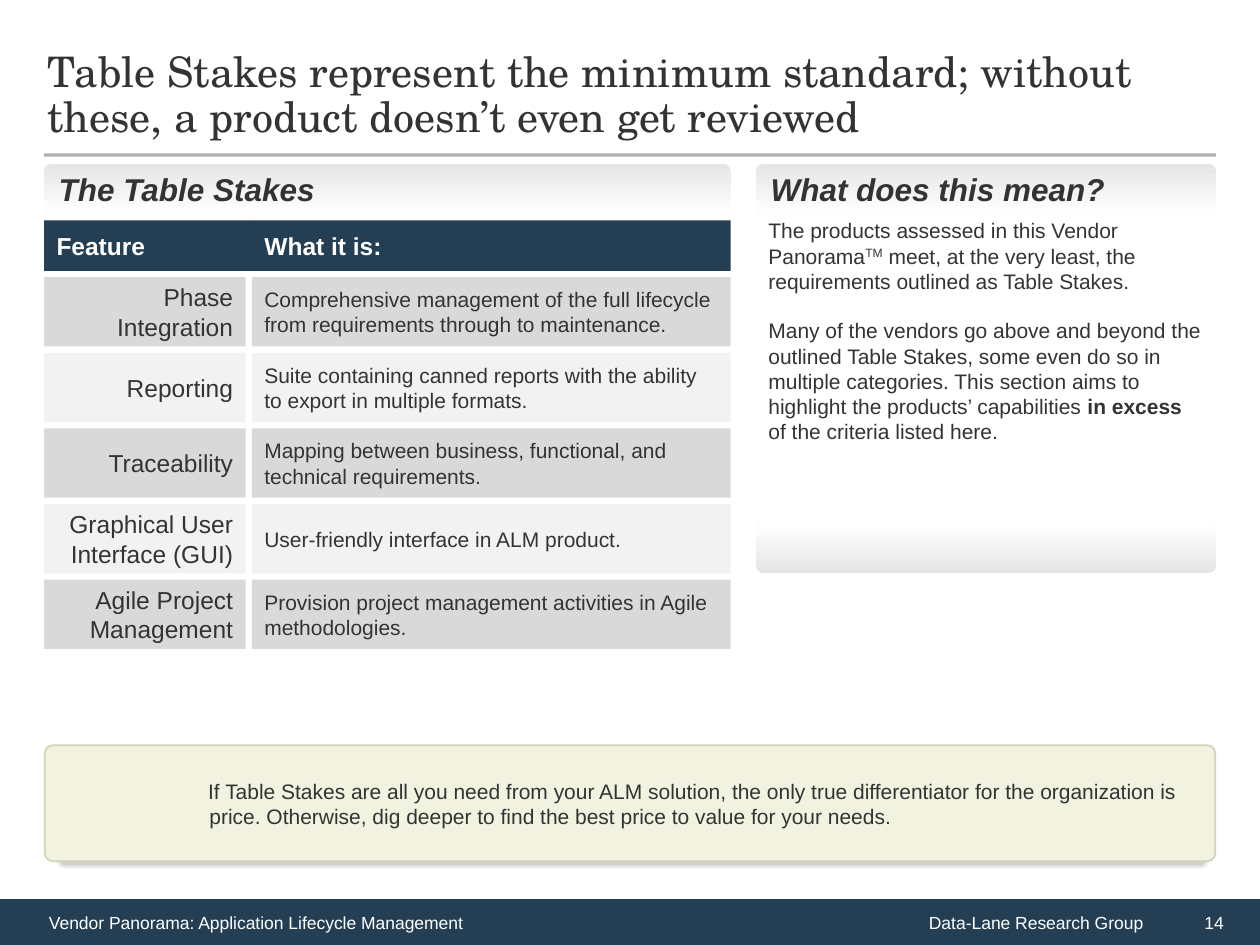
from dataclasses import dataclass

from lxml import etree
from pptx import Presentation
from pptx import util as u
from pptx.dml.color import RGBColor
from pptx.enum import shapes, text
from pptx.oxml import ns

GRID = 0.05  # inches per grid unit: 200 columns by 150 rows
LEFT, RIGHT, MID = text.PP_ALIGN.LEFT, text.PP_ALIGN.RIGHT, text.MSO_ANCHOR.MIDDLE
RECT, ROUND = shapes.MSO_SHAPE.RECTANGLE, shapes.MSO_SHAPE.ROUNDED_RECTANGLE


@dataclass(frozen=True)
class Theme:
    ink: str = "333333"
    white: str = "FFFFFF"
    navy: str = "243F54"
    bands: tuple = ("D9D9D9", "F2F2F2")
    fade: str = "E5E5E5"
    rule: str = "45433E"
    note: str = "F1F2E0"
    edge: str = "D3D3B9"
    shade: str = "CECECE"
    serif: str = "TeX Gyre Schola"
    sans: str = "Arial"
    title: int = 24
    head: int = 18
    label: int = 14
    body: int = 12
    foot: int = 10


T = Theme()

STAKES = [
    ("Phase Integration",
     "Comprehensive management of the full lifecycle from requirements through to maintenance."),
    ("Reporting",
     "Suite containing canned reports with the ability to export in multiple formats."),
    ("Traceability",
     "Mapping between business, functional, and technical requirements."),
    ("Graphical User Interface (GUI)",
     "User-friendly interface in ALM product."),
    ("Agile Project Management",
     "Provision project management activities in Agile methodologies."),
]

# Each paragraph is a list of (words, style) runs.
MEANING = [
    [("The products assessed in this Vendor Panorama", ""), ("TM", "super"),
     (" meet, at the very least, the requirements outlined as Table Stakes.", "")],
    [("Many of the vendors go above and beyond the outlined Table Stakes, some even do so in "
      "multiple categories. This section aims to highlight the products’ capabilities ", ""),
     ("in excess ", "bold"), ("of the criteria listed here.", "")],
]


def units(*nums):
    return [u.Inches(n * GRID) for n in nums]


def rgb(code):
    return RGBColor.from_string(code)


def style(run, size, color=T.ink, face=T.sans, bold=False, italic=False):
    font = run.font
    font.size, font.name, font.bold, font.italic = u.Pt(size), face, bold, italic
    font.color.rgb = rgb(color)


def write(shape, words, size, align=LEFT, indent=(0, 0), **look):
    """Set one paragraph, centred vertically; indent is (margin, first line) in inches."""
    frame = shape.text_frame
    frame.word_wrap, frame.vertical_anchor = True, MID
    para = frame.paragraphs[0]
    para.text, para.alignment = words, align
    if any(indent):
        props = para._p.get_or_add_pPr()
        for key, value in zip(("marL", "indent"), indent):
            props.set(key, str(u.Inches(value)))
    style(para.runs[0], size, **look)
    return para


def block(slide, box, fill, kind=RECT):
    shape = slide.shapes.add_shape(kind, *units(*box))
    shape.shadow.inherit = False
    shape.fill.solid()
    shape.fill.fore_color.rgb = rgb(fill)
    shape.line.fill.background()
    return shape


def fade(slide, box, turn=0):
    """Rounded bar running from grey at its top edge to white."""
    bar = block(slide, box, T.fade, ROUND)
    bar.adjustments[0] = 0.15
    bar.fill.gradient()
    bar.fill.gradient_angle = 270
    for stop, color, place in zip(bar.fill.gradient_stops, (T.fade, T.white), (0, 1)):
        stop.color.rgb, stop.position = rgb(color), place
    bar.rotation = turn
    return bar


def header(slide, box):
    x, y, w, h = box
    title = slide.shapes.add_textbox(*units(x - 1.4, y, w + 2.6, h))
    para = write(title, "Table Stakes represent the minimum standard; without these, "
                 "a product doesn’t even get reviewed", T.title, face=T.serif)
    para.line_spacing = u.Pt(26)
    line = slide.shapes.add_connector(
        shapes.MSO_CONNECTOR.STRAIGHT, *units(x, y + h, x + w, y + h))
    line.line.width = u.Pt(1.75)
    line.line.color.rgb = rgb(T.rule)
    tint = line._element.spPr.find(".//" + ns.qn("a:srgbClr"))
    etree.SubElement(tint, ns.qn("a:alpha")).set("val", "42000")
    etree.SubElement(line._element.spPr, ns.qn("a:effectLst"))


def features(slide, box):
    x, y, w, h = box
    name, gap, top, pitch = 32, 1, 18, 12
    right, wide = x + name + gap, w - name - gap
    write(fade(slide, (x, y, w, 8)), "The Table Stakes", T.head, bold=True, italic=True)
    heads = [(x, name + gap, "Feature"), (right, wide, "What it is:")]
    for left, span, words in heads:
        cell = block(slide, (left, y + 9, span, 8), T.navy)
        write(cell, words, T.label, color=T.white, bold=True)
    for row, (label, about) in enumerate(STAKES):
        line, fill = y + top + row * pitch, T.bands[row % 2]
        cell = block(slide, (x, line, name, pitch - gap), fill)
        write(cell, label, T.label, RIGHT)
        cell = block(slide, (right, line, wide, pitch - gap), fill)
        write(cell, about, T.body)


def meaning(slide, box):
    x, y, w, h = box
    write(fade(slide, (x, y, w, 8)), "What does this mean?", T.head, bold=True, italic=True)
    frame = slide.shapes.add_textbox(*units(x, y + 7.6, w, 38.4)).text_frame
    frame.word_wrap = True
    for num, parts in enumerate(MEANING):
        para = frame.add_paragraph() if num else frame.paragraphs[0]
        para.space_before = u.Pt(14 if num else 0)
        for words, mark in parts:
            run = para.add_run()
            run.text = words
            style(run, T.body, bold=mark == "bold")
            if mark == "super":
                run._r.get_or_add_rPr().set("baseline", "30000")
    fade(slide, (x, y + h - 8, w, 8), 180)


def advice(slide, box):
    note = block(slide, box, T.note, ROUND)
    note.adjustments[0] = 0.07
    note.line.color.rgb, note.line.width = rgb(T.edge), u.Pt(1)
    cast = etree.SubElement(
        note._element.spPr.find(ns.qn("a:effectLst")), ns.qn("a:outerShdw"),
        blurRad=str(u.Pt(2)), dist=str(u.Pt(2)), dir="3600000",
        sx="98000", sy="100000", algn="ctr", rotWithShape="0")
    etree.SubElement(cast, ns.qn("a:srgbClr")).set("val", T.shade)
    write(note, "If Table Stakes are all you need from your ALM solution, the only true "
          "differentiator for the organization is price. Otherwise, dig deeper to find "
          "the best price to value for your needs.", T.body, indent=(1.19, -0.01))


def footer(slide, box):
    x, y, w, h = box
    block(slide, box, T.navy)
    parts = [
        (0, 0.4, "Vendor Panorama: Application Lifecycle Management", LEFT, 0.29),
        (0.5, 0.417, "Data-Lane Research Group", RIGHT, 0),
        (0.917, 0.083, "14", LEFT, 0.29),
    ]
    for start, share, words, align, margin in parts:
        label = slide.shapes.add_textbox(*units(x + w * start, y, w * share, h))
        write(label, words, T.foot, align, (margin, 0), color=T.white)


def main():
    deck = Presentation()
    deck.slide_width, deck.slide_height = units(200, 150)
    slide = deck.slides.add_slide(deck.slide_layouts[6])
    header(slide, (7, 5.8, 186, 18.8))
    features(slide, (7, 26, 109, 77))
    meaning(slide, (120, 26, 73, 65))
    advice(slide, (7.1, 118.3, 185.8, 18.4))
    footer(slide, (0, 142.7, 200, 7.3))
    deck.save("out.pptx")


if __name__ == "__main__":
    main()
